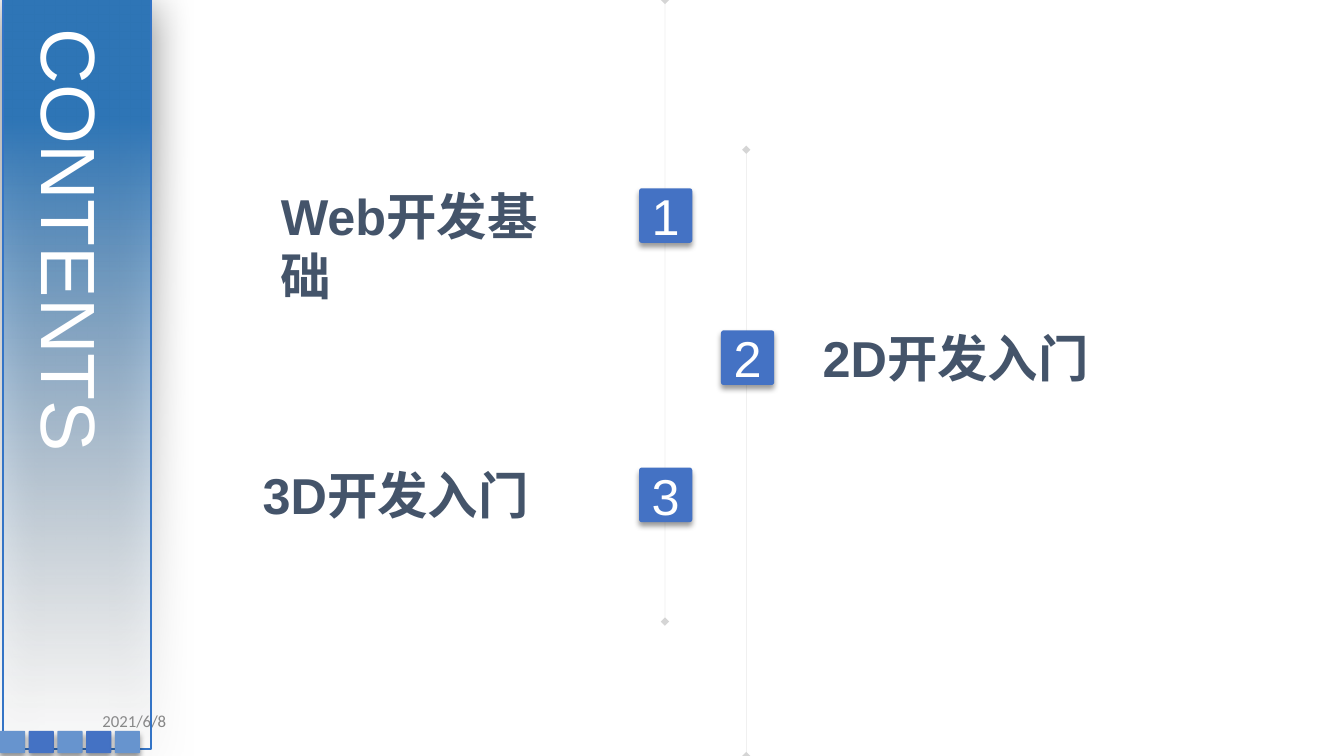
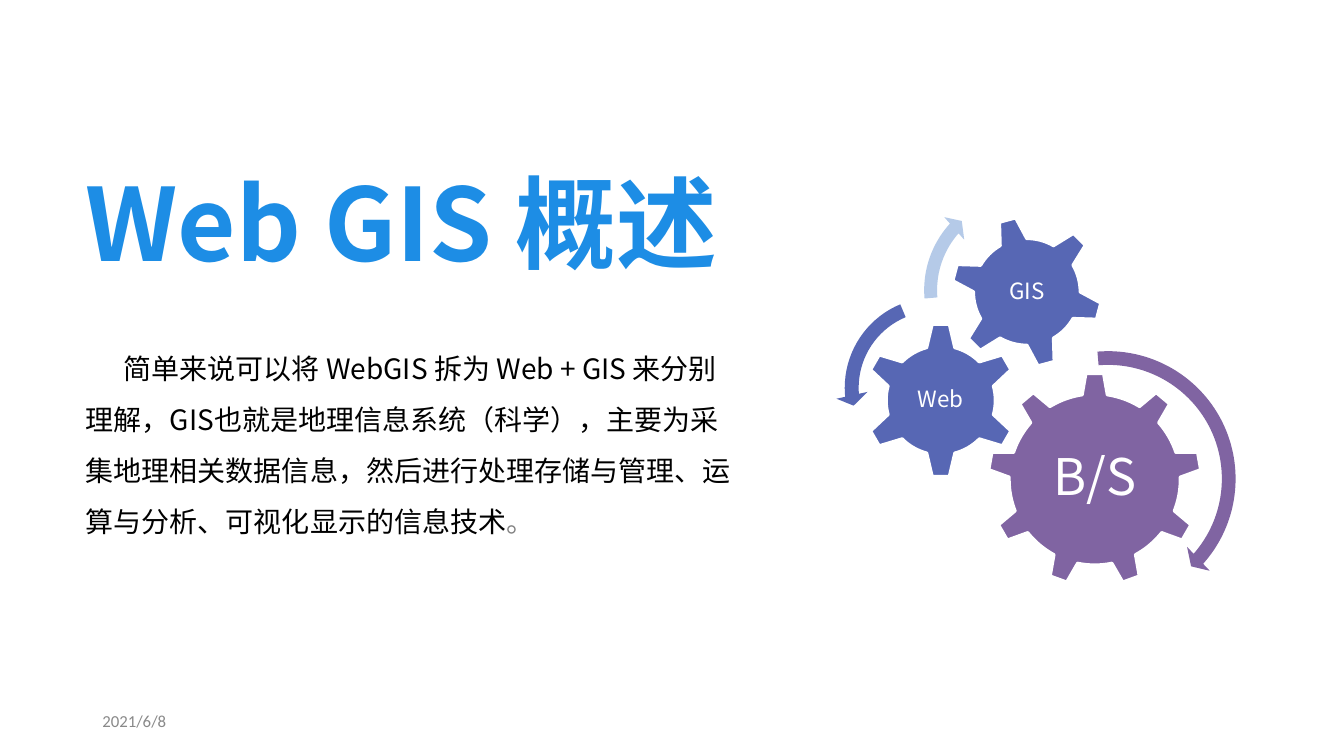
import pptx
import pptx.util
import pptx.dml.color
import pptx.enum.dml
import pptx.enum.shapes
import pptx.enum.text
import pptx.oxml.ns
import lxml.etree

Pt = pptx.util.Pt
qn = pptx.oxml.ns.qn
SHAPE = pptx.enum.shapes.MSO_SHAPE
ALIGN = pptx.enum.text.PP_ALIGN
ANCHOR = pptx.enum.text.MSO_ANCHOR
AUTO = pptx.enum.text.MSO_AUTO_SIZE

COLORS = {
    "white": "FFFFFF", "black": "000000", "gray": "808080", "date": "898989",
    "blue": "4472C4", "light_blue": "6794CE", "slate": "44546A",
    "band_top": "2E75B6", "band_bottom": "F7FAFD", "band_line": "3474C6",
    "title": "1D8DE5", "purple": "8064A2", "indigo": "5767B4", "pale": "B5CAE8",
}
CJK = "Noto Sans CJK SC"
SQUARE_SHADOW = (40, 4, 3, 90)  # opacity %, blur, distance, direction
BAND_SHADOW = (50, 31, 6, 97)


def rgb(name):
    return pptx.dml.color.RGBColor.from_string(COLORS[name])


def add_xml(parent, tag, **attrs):
    return lxml.etree.SubElement(parent, qn(tag), {k: str(v) for k, v in attrs.items()})


def place(sp, left, top, width, height):
    sp.left, sp.top, sp.width, sp.height = Pt(left), Pt(top), Pt(width), Pt(height)


def write(sp, text, size, color, font="Arial", bold=False, align=ALIGN.LEFT,
          anchor=ANCHOR.TOP, auto_size=AUTO.NONE):
    """Fill a text frame with one formatted paragraph and return it."""
    tf = sp.text_frame
    tf.word_wrap = True
    tf.auto_size = auto_size
    tf.vertical_anchor = anchor
    p = tf.paragraphs[0]
    p.add_run().text = text
    p.alignment = align
    p.font.size = Pt(size)
    p.font.bold = bold
    p.font.name = font
    p.font.color.rgb = rgb(color)
    if font == CJK:
        add_xml(p._p.pPr.find(qn("a:defRPr")), "a:ea", typeface=font)
    return p


def add_text(slide, box, text, size, color, **style):
    sp = slide.shapes.add_textbox(*map(Pt, box))
    return write(sp, text, size, color, **style)


def add_shadow(sp, opacity, blur, distance, direction):
    effects = sp.element.spPr.find(qn("a:effectLst"))
    shadow = add_xml(effects, "a:outerShdw", blurRad=Pt(blur), dist=Pt(distance),
                     dir=direction * 60000, algn="ctr", rotWithShape=0)
    color = add_xml(shadow, "a:srgbClr", val=COLORS["black"])
    add_xml(color, "a:alpha", val=opacity * 1000)


def add_shape(slide, kind, box, fill, adjustments=()):
    sp = slide.shapes.add_shape(kind, *map(Pt, box))
    sp.shadow.inherit = False
    sp.fill.solid()
    sp.fill.fore_color.rgb = rgb(fill)
    sp.line.fill.background()
    for i, value in enumerate(adjustments):
        sp.adjustments[i] = value
    return sp


def add_square(slide, box, fill):
    sp = add_shape(slide, SHAPE.ROUNDED_RECTANGLE, box, fill, [0.05])
    add_shadow(sp, *SQUARE_SHADOW)
    return sp


def add_timeline(slide, x, top, bottom):
    c = slide.shapes.add_connector(pptx.enum.shapes.MSO_CONNECTOR.STRAIGHT,
                                   Pt(x), Pt(top), Pt(x), Pt(bottom))
    c.line.width = Pt(0.25)
    c.line.color.rgb = rgb("gray")
    ln = c.line._ln
    add_xml(ln.find(".//" + qn("a:srgbClr")), "a:alpha", val=33000)
    add_xml(ln, "a:headEnd", type="diamond")
    add_xml(ln, "a:tailEnd", type="diamond")
    add_xml(c.element.spPr, "a:effectLst")


def add_band(slide):
    sp = add_shape(slide, SHAPE.RECTANGLE, (2, -2, 106, 537), "band_top")
    sp.fill.gradient()
    sp.fill.gradient_angle = 270
    first, last = sp.fill.gradient_stops
    first.position, last.position = 0.16, 1
    first.color.rgb, last.color.rgb = rgb("band_top"), rgb("band_bottom")
    colors = sp.element.spPr.findall(".//" + qn("a:gs") + "/" + qn("a:srgbClr"))
    add_xml(colors[-1], "a:alpha", val=0)
    sp.line.color.rgb = rgb("band_line")
    sp.line.width = Pt(1)
    add_shadow(sp, *BAND_SHADOW)


def add_gear(slide, kind, center, size, fill, label, font_size, rotation=0):
    x, y = center
    sp = add_shape(slide, kind, (x - size / 2, y - size / 2, size, size), fill)
    sp.rotation = rotation
    sp.line.color.rgb = rgb("white")
    sp.line.width = Pt(2)
    # The label stays upright when its gear is turned
    p = add_text(slide, (x - 46, y - 30, 92, 60), label, font_size, "white", font=CJK,
                 align=ALIGN.CENTER, anchor=ANCHOR.MIDDLE)
    p.line_spacing = 0.9


def add_slide(prs, layout):
    """Start a slide with the shared date footer."""
    slide = prs.slides.add_slide(prs.slide_layouts[layout])
    add_text(slide, (66, 500.5, 216, 29), "2021/6/8", 12, "date",
             font="Calibri", anchor=ANCHOR.MIDDLE)
    return slide


def build_contents(prs):
    slide = add_slide(prs, 5)

    # Timelines and numbered chapters
    add_timeline(slide, 533, 107, 540)
    add_timeline(slide, 475, 0, 444)
    chapters = [
        ("Web开发基础", 456.5, 134.5, 193.5, 230.5),
        ("2D开发入门", 515, 236, 580.5, 206.5),
        ("3D开发入门", 456.5, 334, 180.5, 206.5),
    ]
    for number, (label, x, y, label_x, label_width) in enumerate(chapters, 1):
        sp = add_square(slide, (x, y, 38, 39), "blue")
        write(sp, str(number), 36, "white", align=ALIGN.CENTER, anchor=ANCHOR.MIDDLE)
        add_text(slide, (label_x, y - 6, label_width, 51), label, 36, "slate", bold=True)

    # Side band with a row of small squares
    add_band(slide)
    for i in range(5):
        add_square(slide, (20.5 * i, 522, 18, 16), "blue" if i % 2 else "light_blue")

    # Vertical title, in front of the band
    title = slide.shapes.title
    place(title, 11, 17, 81, 356)
    write(title, "CONTENTS", 55, "white", auto_size=AUTO.SHAPE_TO_FIT_TEXT)
    title.text_frame._txBody.bodyPr.set("vert", "eaVert")
    title.element.getparent().append(title.element)


def build_overview(prs):
    slide = add_slide(prs, 1)

    # Title and explanation
    title, body = slide.placeholders
    place(title, 54, 111, 720, 112)
    write(title, "Web GIS 概述", 72, "title", font=CJK, bold=True)
    place(body, 54, 224, 484, 175)
    # Bullet off before the font is set
    p_pr = body.text_frame.paragraphs[0]._p.get_or_add_pPr()
    p_pr.set("marL", "0")
    p_pr.set("indent", str(Pt(27)))
    add_xml(p_pr, "a:buNone")
    p = write(body, "简单来说可以将 WebGIS 拆为 Web + GIS 来分别理解，GIS也就是地理信息系统（科学），"
              "主要为采集地理相关数据信息，然后进行处理存储与管理、运算与分析、可视化显示的信息技术",
              20, "black", font=CJK, anchor=ANCHOR.MIDDLE)
    p.space_before = Pt(0)
    p.line_spacing = Pt(36.5)
    r = p.add_run()
    r.text = "。"
    r.font.color.rgb = rgb("gray")

    # Gears
    add_gear(slide, SHAPE.GEAR_9, (782, 342.5), 152.5, "purple", "B/S", 36)
    add_gear(slide, SHAPE.GEAR_6, (672, 286), 111, "indigo", "Web", 16)
    add_gear(slide, SHAPE.GEAR_6, (733.5, 208.5), 108.5, "indigo", "GIS", 16, rotation=345)

    # Turning arrows
    arrows = [
        (SHAPE.CIRCULAR_ARROW, 693.5, 244, 196, "purple",
         (0.05, 2.99, 24.92, 159.15, 0.06)),
        (SHAPE.LEFT_CIRCULAR_ARROW, 597, 206, 142, "indigo",
         (0.07, 4.3, 104.89, 148.38, 0.08)),
        (SHAPE.CIRCULAR_ARROW, 654, 130.5, 153.5, "pale",
         (0.06, 3.94, 133.14, 105.08, 0.07)),
    ]
    for kind, x, y, size, fill, adjustments in arrows:
        add_shape(slide, kind, (x, y, size, size), fill, adjustments)


def main():
    prs = pptx.Presentation()
    prs.slide_width, prs.slide_height = Pt(960), Pt(540)
    build_contents(prs)
    build_overview(prs)
    prs.save("out.pptx")


if __name__ == "__main__":
    main()
